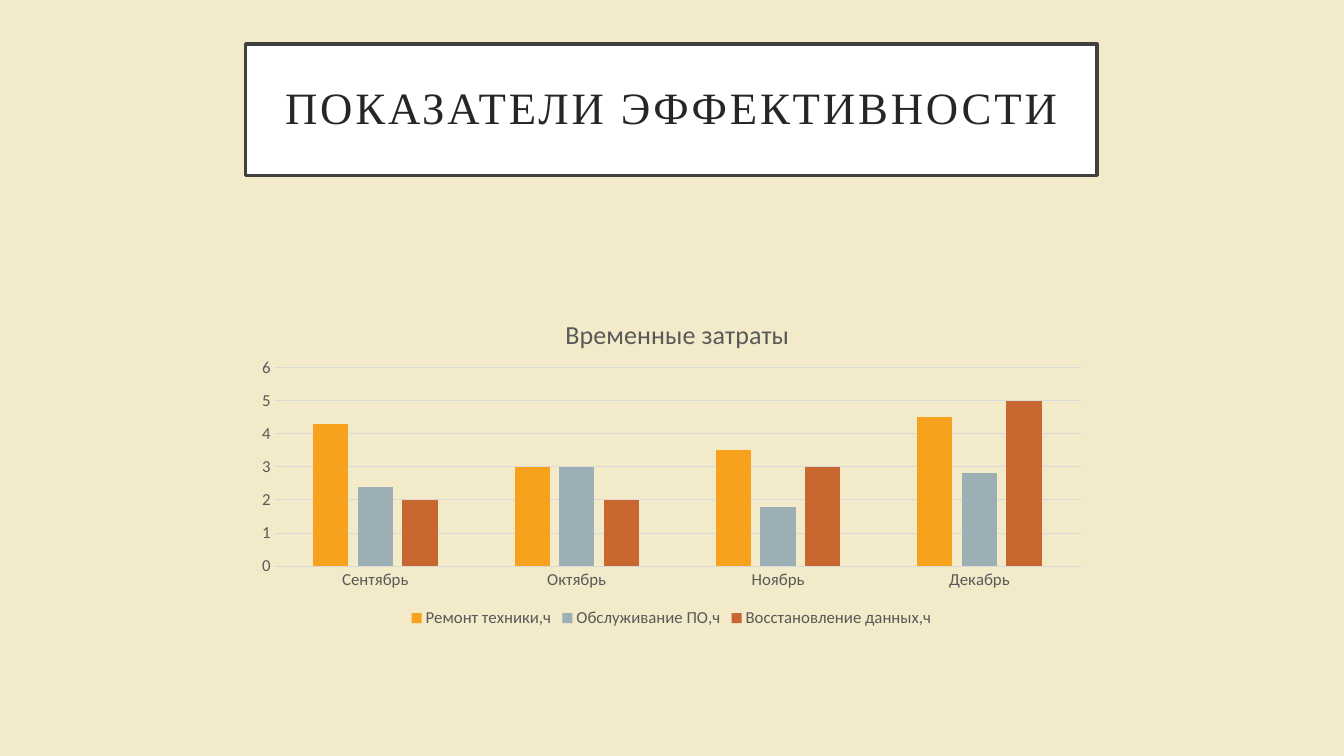
from lxml import etree
from pptx import Presentation
from pptx.chart.data import CategoryChartData
from pptx.dml.color import RGBColor
from pptx.enum.chart import XL_CHART_TYPE, XL_LEGEND_POSITION, XL_TICK_MARK
from pptx.enum.shapes import MSO_SHAPE
from pptx.enum.text import MSO_ANCHOR, PP_ALIGN
from pptx.oxml.ns import qn
from pptx.util import Emu, Pt

COLUMNS = XL_CHART_TYPE.COLUMN_CLUSTERED
BOTTOM = XL_LEGEND_POSITION.BOTTOM
NO_TICK = XL_TICK_MARK.NONE
RECTANGLE = MSO_SHAPE.RECTANGLE
MIDDLE = MSO_ANCHOR.MIDDLE
CENTER = PP_ALIGN.CENTER

EMU_PER_PX = 9525
COLORS = {
    "background": "F2EAC8",
    "white": "FFFFFF",
    "frame": "404040",
    "heading": "262626",
    "label": "595959",
    "grid": "D9D9D9",
    "repair": "F6A21D",
    "service": "9BAFB5",
    "recovery": "C96731",
}
MONTHS = ["Сентябрь", "Октябрь", "Ноябрь", "Декабрь"]
TIME_SPENT = [
    ("Ремонт техники,ч", "repair", [4.3, 3, 3.5, 4.5]),
    ("Обслуживание ПО,ч", "service", [2.4, 3, 1.8, 2.8]),
    ("Восстановление данных,ч", "recovery", [2, 2, 3, 5]),
]


def px(*lengths):
    return [Emu(length * EMU_PER_PX) for length in lengths]


def color(name):
    return RGBColor.from_string(COLORS[name])


def place(element, index, **settings):
    """Fix a chart part at fractions of the chart area."""
    for old in element.findall(qn("c:layout")):
        element.remove(old)
    layout = etree.Element(qn("c:layout"))
    manual = etree.SubElement(layout, qn("c:manualLayout"))
    for tag, value in settings.items():
        etree.SubElement(manual, qn("c:" + tag)).set("val", str(value))
    element.insert(index, layout)


class SlideBuilder:
    heading_font = "Times New Roman"
    chart_font = "Calibri"

    def __init__(self, deck):
        self.page = deck.slides.add_slide(deck.slide_layouts[6])
        fill = self.page.background.fill
        fill.solid()
        fill.fore_color.rgb = color("background")

    def style_font(self, font, name, size, color_name):
        font.name = name
        font.size = Pt(size)
        font.bold = False
        font.color.rgb = color(color_name)

    def heading(self, text, left, top, width, height):
        box = self.page.shapes.add_shape(RECTANGLE, *px(left, top, width, height))
        box.shadow.inherit = False
        box.fill.solid()
        box.fill.fore_color.rgb = color("white")
        box.line.color.rgb = color("frame")
        box.line.width = Pt(2.5)
        frame = box.text_frame
        frame.word_wrap = True
        frame.vertical_anchor = MIDDLE
        frame.margin_left, frame.margin_top, frame.margin_right, frame.margin_bottom = px(19, 19, 19, 19)
        para = frame.paragraphs[0]
        para.alignment = CENTER
        para.line_spacing = 0.9
        span = para.add_run()
        span.text = text
        self.style_font(span.font, self.heading_font, 32, "heading")
        span.font._element.set("spc", "200")

    def column_chart(self, title, categories, series, left, top, width, height):
        data = CategoryChartData()
        data.categories = categories
        for name, _, values in series:
            data.add_series(name, values)
        chart = self.page.shapes.add_chart(COLUMNS, *px(left, top, width, height), data).chart
        self.style_font(chart.font, self.chart_font, 12, "label")

        chart.has_title = True
        span = chart.chart_title.text_frame.paragraphs[0].add_run()
        span.text = title
        self.style_font(span.font, self.chart_font, 18.6, "label")
        place(chart.chart_title._element, 1, xMode="edge", yMode="edge", x=0.37, y=0.06)

        chart.has_legend = True
        chart.legend.position = BOTTOM
        chart.legend.include_in_layout = False
        self.style_font(chart.legend.font, self.chart_font, 12, "label")

        plot = chart.plots[0]
        plot.gap_width = 219
        plot.overlap = -27
        plot.vary_by_categories = False
        for columns, (_, color_name, _) in zip(plot.series, series):
            columns.format.fill.solid()
            columns.format.fill.fore_color.rgb = color(color_name)

        for axis in (chart.category_axis, chart.value_axis):
            axis.major_tick_mark = axis.minor_tick_mark = NO_TICK
            self.style_font(axis.tick_labels.font, self.chart_font, 12, "label")
        value_axis = chart.value_axis
        value_axis.minimum_scale, value_axis.maximum_scale, value_axis.major_unit = 0, 6, 1
        value_axis.format.line.fill.background()
        value_axis.has_major_gridlines = True
        for line in (chart.category_axis.format.line, value_axis.major_gridlines.format.line):
            line.color.rgb = color("grid")
            line.width = Pt(0.75)
        plot_area = chart._chartSpace.find(".//" + qn("c:plotArea"))
        place(plot_area, 0, layoutTarget="inner", xMode="edge", yMode="edge",
              x=0.034, y=0.225, w=0.946, h=0.582)


def main():
    deck = Presentation()
    deck.slide_width, deck.slide_height = px(1280, 720)
    builder = SlideBuilder(deck)
    builder.heading("ПОКАЗАТЕЛИ ЭФФЕКТИВНОСТИ", 234, 42, 811, 125)
    builder.column_chart("Временные затраты", MONTHS, TIME_SPENT, 234, 277, 811, 325)
    deck.save("out.pptx")


if __name__ == "__main__":
    main()
